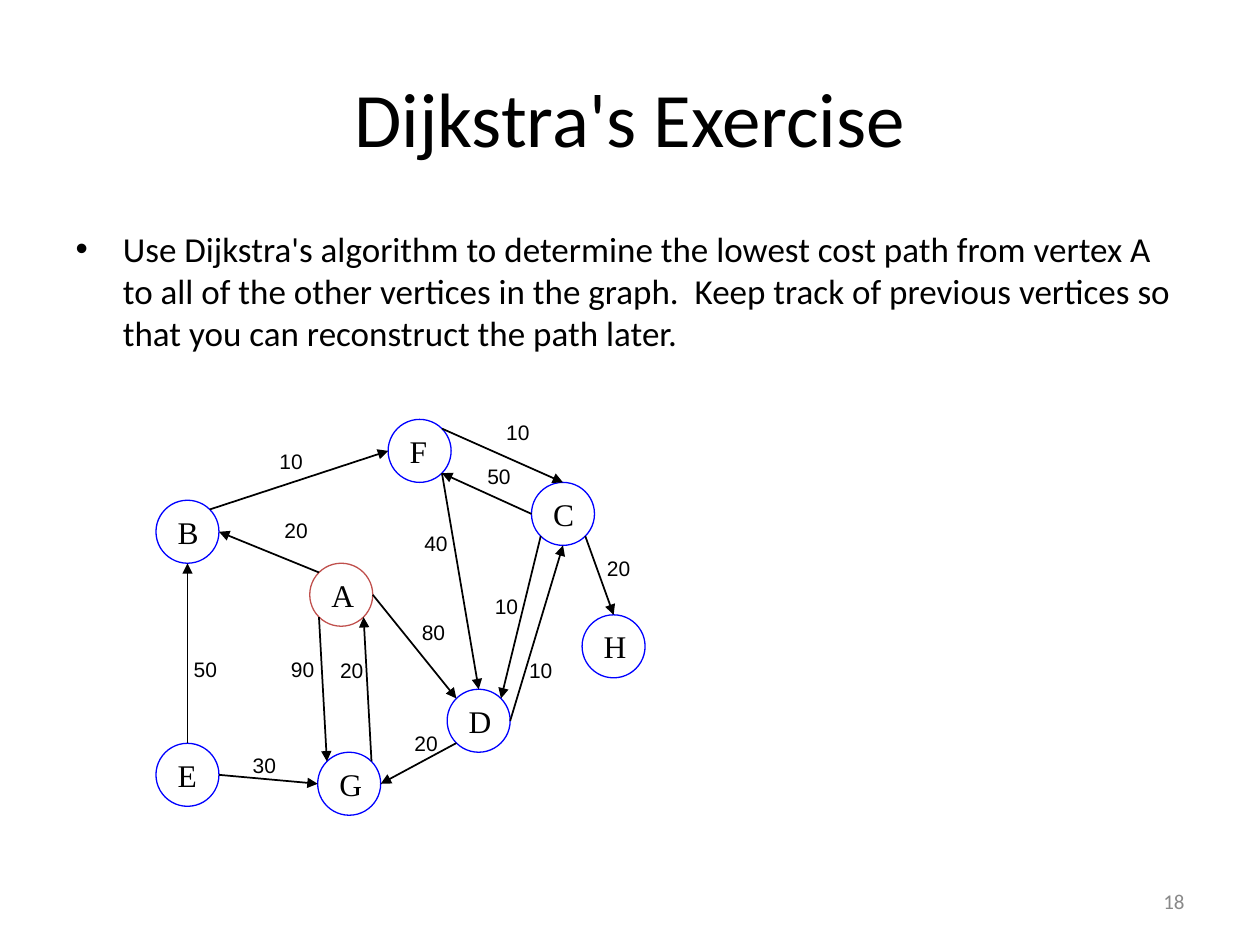
from math import sqrt

from lxml.etree import SubElement
from pptx import Presentation
from pptx.dml.color import RGBColor
from pptx.enum.shapes import MSO_CONNECTOR, MSO_SHAPE
from pptx.enum.text import MSO_ANCHOR as Anchor, PP_ALIGN as Align
from pptx.oxml.ns import qn
from pptx.util import Cm, Pt

BLACK = RGBColor(0x00, 0x00, 0x00)
WHITE = RGBColor(0xFF, 0xFF, 0xFF)
BLUE = RGBColor(0x00, 0x00, 0xFF)
RED = RGBColor(0xC0, 0x50, 0x4D)
GREY = RGBColor(0x89, 0x89, 0x89)

# Content, lengths in cm
TITLE = "Dijkstra's Exercise"
TASK = ("Use Dijkstra's algorithm to determine the lowest cost path from vertex A "
        "to all of the other vertices in the graph.  Keep track of previous vertices "
        "so that you can reconstruct the path later.")
PAGE_NUMBER = "18"
START = "A"
VERTICES = {  # centre of each circle
    "A": (6.88, 11.99), "G": (7.04, 15.8), "F": (8.46, 9.09), "B": (3.78, 10.72),
    "E": (3.78, 15.62), "C": (11.35, 10.36), "D": (9.65, 14.53), "H": (12.37, 13.03),
}
EDGES = [  # from, side it leaves, to, side it enters, cost, centre of the cost
    ("E", "N", "B", "S", 50, (4.14, 13.49)),
    ("B", "NE", "F", "W", 10, (5.87, 9.3)),
    ("A", "NW", "B", "E", 20, (5.97, 10.69)),
    ("E", "E", "G", "W", 30, (5.33, 15.42)),
    ("A", "SW", "G", "NW", 90, (6.1, 13.49)),
    ("G", "NE", "A", "SE", 20, (7.09, 13.51)),
    ("A", "E", "D", "NW", 80, (8.74, 12.75)),
    ("D", "SW", "G", "E", 20, (8.59, 14.99)),
    ("F", "SE", "D", "N", 40, (8.79, 10.95)),
    ("F", "NE", "C", "N", 10, (10.44, 8.71)),
    ("C", "W", "F", "SE", 50, (10.06, 9.6)),
    ("C", "SW", "D", "NE", 10, (10.21, 12.22)),
    ("D", "E", "C", "S", 10, (10.9, 13.51)),
    ("C", "SE", "H", "N", 20, (12.47, 11.46)),
]
DIAMETER = 1.27
COST_SIZE = (0.97, 0.76)


def write(shape, text, font="Calibri", size=20, color=BLACK, align=Align.LEFT,
          anchor=Anchor.MIDDLE, wrap=True):
    frame = shape.text_frame
    frame.word_wrap = wrap
    frame.vertical_anchor = anchor
    paragraph = frame.paragraphs[0]
    paragraph.alignment = align
    paragraph.space_before = Pt(0)
    run = paragraph.add_run()
    run.text = text
    run.font.name = font
    run.font.size = Pt(size)
    run.font.color.rgb = color


def place(shape, left, top, width, height):
    shape.left, shape.top = Cm(left), Cm(top)
    shape.width, shape.height = Cm(width), Cm(height)


def centred_box(center, width, height):
    x, y = center
    return Cm(x - width / 2), Cm(y - height / 2), Cm(width), Cm(height)


def rim_point(vertex, side):
    """Point on a vertex circle in a compass direction."""
    x, y = VERTICES[vertex]
    reach = DIAMETER / 2 / sqrt(len(side))
    dx = ("E" in side) - ("W" in side)
    dy = ("S" in side) - ("N" in side)
    return Cm(x + dx * reach), Cm(y + dy * reach)


def add_vertex(shapes, name, center):
    circle = shapes.add_shape(MSO_SHAPE.OVAL, *centred_box(center, DIAMETER, DIAMETER))
    circle.shadow.inherit = False
    if name == START:
        circle.fill.solid()
        circle.fill.fore_color.rgb = WHITE
    else:
        circle.fill.background()
    circle.line.color.rgb = RED if name == START else BLUE
    circle.line.width = Pt(0.75)
    write(circle, name, font="Times New Roman", size=18, wrap=False)


def add_arrow(shapes, start, end):
    arrow = shapes.add_connector(MSO_CONNECTOR.STRAIGHT, *start, *end)
    arrow.line.color.rgb = BLACK
    arrow.line.width = Pt(1)
    SubElement(arrow.line._get_or_add_ln(), qn("a:tailEnd"), type="triangle")
    SubElement(arrow._element.spPr, qn("a:effectLst"))


def main():
    deck = Presentation()
    deck.slide_width, deck.slide_height = Cm(25.4), Cm(19.05)
    slide = deck.slides.add_slide(deck.slide_layouts[1])
    shapes = slide.shapes

    # Title and task
    title, task = slide.placeholders
    place(title, 1.27, 0.76, 22.86, 3.18)
    write(title, TITLE, size=44, align=Align.CENTER)
    place(task, 1.27, 4.45, 22.86, 3.89)
    write(task, TASK, anchor=Anchor.TOP)

    # Graph
    for name, center in VERTICES.items():
        add_vertex(shapes, name, center)
    for source, leaving, target, entering, cost, center in EDGES:
        add_arrow(shapes, rim_point(source, leaving), rim_point(target, entering))
        cost_label = shapes.add_textbox(*centred_box(center, *COST_SIZE))
        write(cost_label, str(cost), font="Arial", size=12, wrap=False)

    # Page number
    page_number = shapes.add_textbox(Cm(18.21), Cm(17.65), Cm(5.92), Cm(1.02))
    write(page_number, PAGE_NUMBER, size=12, color=GREY, align=Align.RIGHT)

    deck.save("out.pptx")


if __name__ == "__main__":
    main()
